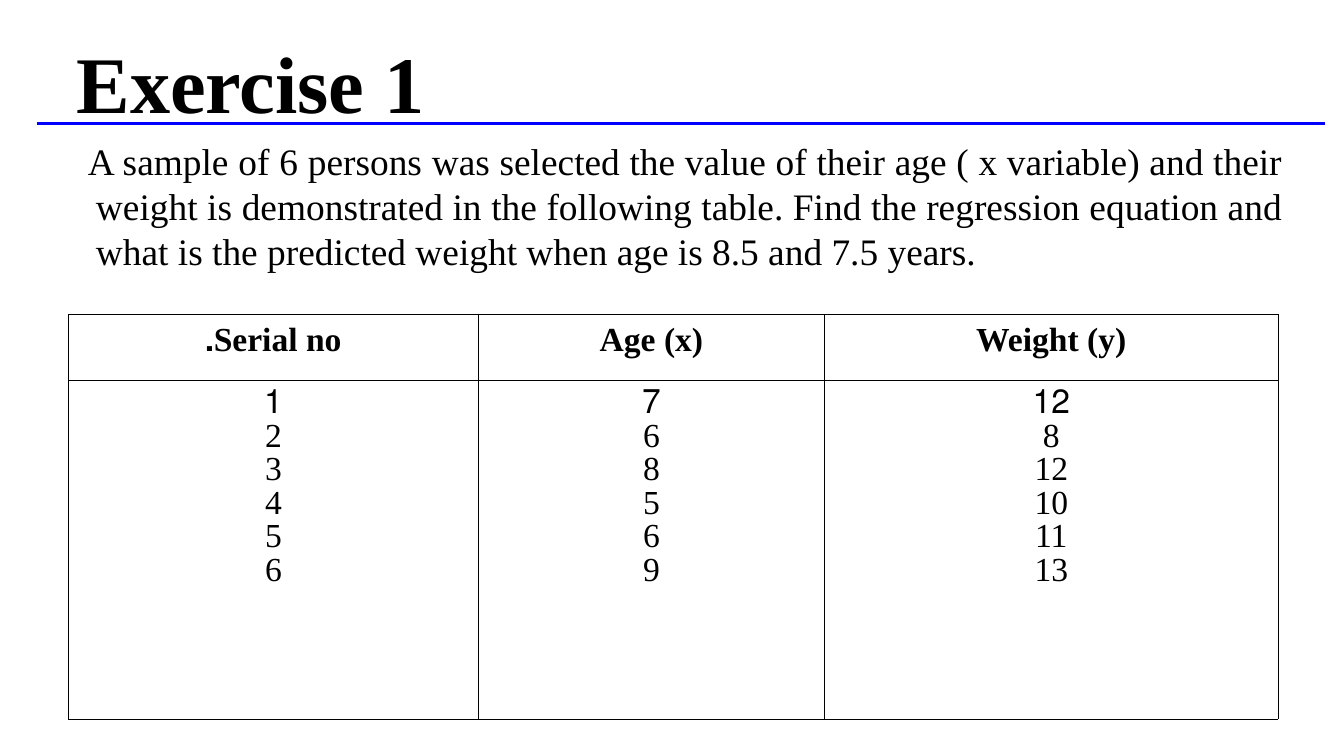
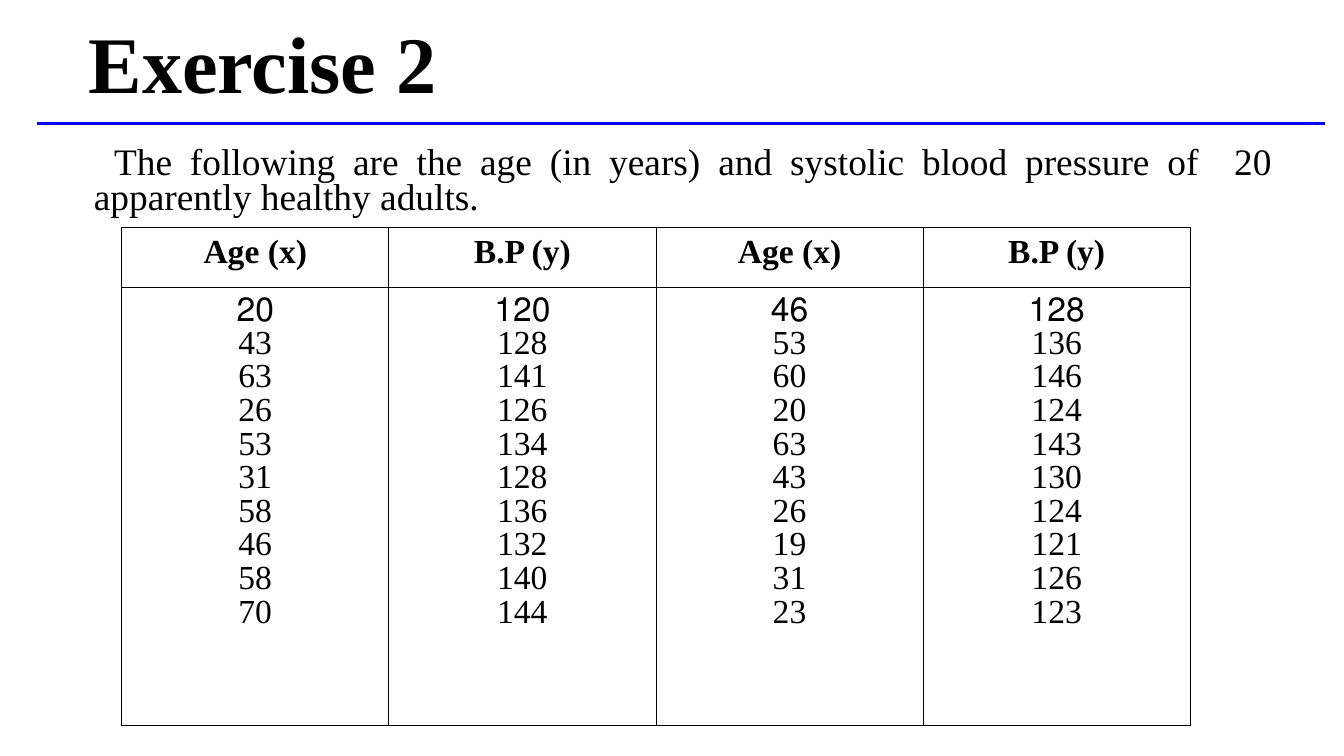
from lxml import etree
from pptx import Presentation
from pptx.dml.color import RGBColor
from pptx.enum import shapes, text
from pptx.oxml import ns
from pptx.util import Inches, Pt

COLORS = {"ink": "000000", "rule": "0000FF", "paper": "FFFFFF"}
FONT = "Times New Roman"
COLUMNS, ROWS = 100, 56.25
ALIGN = text.PP_ALIGN


def color(name):
    return RGBColor.from_string(COLORS[name])


def write(frame, lines, size=18, bold=False, align=ALIGN.LEFT, spacing=None,
          margin=0, indent=0, rtl=False):
    frame.word_wrap = True
    for number, line in enumerate(lines):
        paragraph = frame.add_paragraph() if number else frame.paragraphs[0]
        paragraph.alignment = align
        paragraph.line_spacing = spacing
        paragraph.space_before = Pt(0)
        properties = paragraph._p.get_or_add_pPr()
        properties.set("marL", str(Inches(margin)))
        properties.set("indent", str(Inches(indent)))
        if rtl and number == 0:
            properties.set("rtl", "1")
        run = paragraph.add_run()
        run.text = line
        run.font.size, run.font.bold, run.font.name = Pt(size), bold, FONT
        run.font.color.rgb = color("ink")


class Deck:
    """Exercise slides laid out on a grid of 100 columns by 56.25 rows."""

    def __init__(self):
        self.show = Presentation()
        self.show.slide_width = Inches(10)
        self.show.slide_height = self.show.slide_width * 9 // 16
        self.slide = None

    def place(self, *cells):
        steps = self.show.slide_width / COLUMNS, self.show.slide_height / ROWS
        return [round(cell * steps[i % 2]) for i, cell in enumerate(cells)]

    def exercise(self, heading, *cells):
        self.slide = self.show.slides.add_slide(self.show.slide_layouts[5])
        self.slide.background.fill.solid()
        self.slide.background.fill.fore_color.rgb = color("paper")
        title = self.slide.shapes.title
        title.left, title.top, title.width, title.height = self.place(*cells)
        title.text_frame.auto_size = text.MSO_AUTO_SIZE.NONE
        title.text_frame.vertical_anchor = text.MSO_ANCHOR.MIDDLE
        write(title.text_frame, [heading], size=43, bold=True, margin=0.06)
        self.rule(2.74, 9.22, 98.6, 9.22)

    def rule(self, *ends):
        rule = self.slide.shapes.add_connector(
            shapes.MSO_CONNECTOR.STRAIGHT, *self.place(*ends))
        rule.line.color.rgb = color("rule")
        rule.line.width = Pt(1.5)
        etree.SubElement(rule._element.spPr, ns.qn("a:effectLst"))

    def question(self, wording, *cells, **style):
        box = self.slide.shapes.add_textbox(*self.place(*cells))
        write(box.text_frame, [wording], size=20, align=ALIGN.JUSTIFY, **style)

    def table(self, data, left, top, widths, heights):
        frame = self.slide.shapes.add_table(
            2, len(data), *self.place(left, top, sum(widths), sum(heights)))
        grid = frame.table
        grid.first_row = grid.horz_banding = False
        for row, height in zip(grid.rows, heights):
            row.height = self.place(0, height)[1]
        for index, (label, values) in enumerate(data):
            grid.columns[index].width = self.place(widths[index])[0]
            self.cell(grid.cell(0, index), [label], bold=True)
            self.cell(grid.cell(1, index), values.split(), spacing=Pt(18))

    def cell(self, cell, lines, **style):
        write(cell.text_frame, lines, align=ALIGN.CENTER, rtl=True, **style)
        properties = cell._tc.get_or_add_tcPr()
        for side in ("lnL", "lnR", "lnT", "lnB"):
            border = etree.SubElement(properties, ns.qn(f"a:{side}"), w=str(Pt(0.45)))
            fill = etree.SubElement(border, ns.qn("a:solidFill"))
            etree.SubElement(fill, ns.qn("a:srgbClr"), val=COLORS["ink"])
        cell.fill.background()


def main():
    deck = Deck()

    deck.exercise("Exercise 1", 4.1, 3.45, 90, 5.2)
    deck.question(
        "A sample of 6 persons was selected the value of their age ( x variable) "
        "and their weight is demonstrated in the following table. Find the "
        "regression equation and what is the predicted weight when age is 8.5 "
        "and 7.5 years.",
        2.36, 9.8, 94.1, 14.2, margin=0.38, indent=-0.06)
    deck.table([("Serial no.", "1 2 3 4 5 6"),
                ("Age (x)", "7 6 8 5 6 9"),
                ("Weight (y)", "12 8 12 10 11 13")],
               5.1, 23.4, [30.5, 25.75, 33.75], [4.9, 25.2])

    deck.exercise("Exercise 2", 5, 2.3, 90, 4.6)
    deck.question(
        "The following are the age (in years) and systolic blood pressure of  20 "
        "apparently healthy adults.",
        3.5, 10.4, 92.2, 6.5, margin=0.25, indent=0.15, spacing=0.8)
    deck.table([("Age (x)", "20 43 63 26 53 31 58 46 58 70"),
                ("B.P (y)", "120 128 141 126 134 128 136 132 140 144"),
                ("Age (x)", "46 53 60 20 63 43 26 19 31 23"),
                ("B.P (y)", "128 136 146 124 143 130 124 121 126 123")],
               9.05, 16.9, [19.88] * 4, [4.5, 32.6])

    deck.show.save("out.pptx")


if __name__ == "__main__":
    main()
